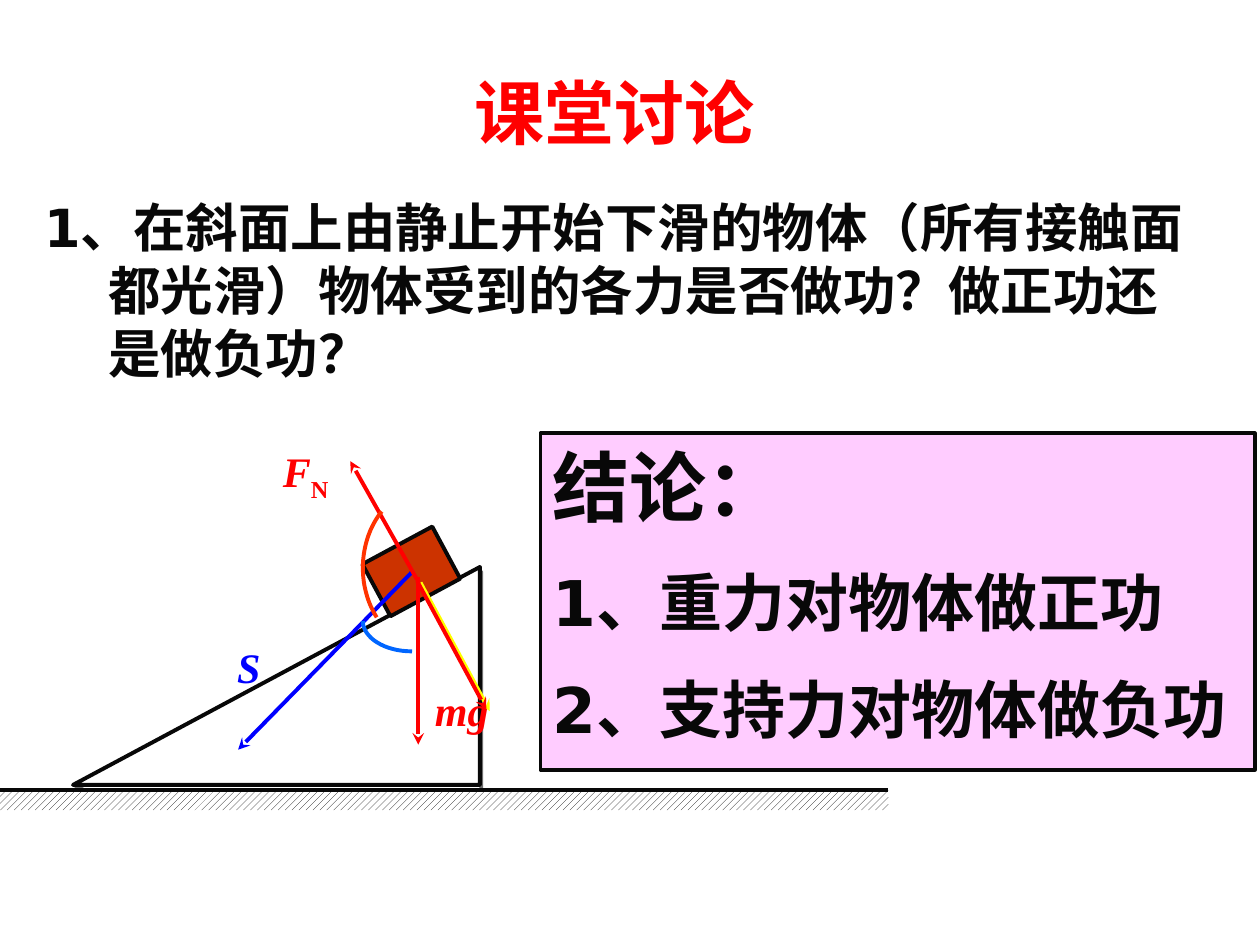
from lxml import etree
from pptx import Presentation
from pptx.dml.color import RGBColor
from pptx.enum.dml import MSO_PATTERN
from pptx.enum.shapes import MSO_CONNECTOR, MSO_SHAPE
from pptx.enum.text import MSO_ANCHOR, PP_ALIGN
from pptx.oxml.ns import qn
from pptx.util import Inches, Pt

RED = RGBColor(0xFF, 0x00, 0x00)
BLUE = RGBColor(0x00, 0x00, 0xFF)
INK = RGBColor(0x08, 0x08, 0x08)
GREY = RGBColor(0x6E, 0x6E, 0x6E)
WHITE = RGBColor(0xFF, 0xFF, 0xFF)
BRICK = RGBColor(0xCC, 0x33, 0x00)
PINK = RGBColor(0xFF, 0xCC, 0xFF)
ORANGE = RGBColor(0xFF, 0x33, 0x00)
SKY = RGBColor(0x00, 0x66, 0xFF)
SANS, CJK, SERIF = "DejaVu Sans", "Noto Sans CJK SC", "Times New Roman"
LINE_WIDTH = Pt(2.25)


def add_run(paragraph, text, size, font_name, color, italic=False):
    run = paragraph.add_run()
    run.text = text
    font = run.font
    font.size, font.name, font.bold, font.italic = Pt(size), font_name, True, italic
    font.color.rgb = color
    properties = run._r.get_or_add_rPr()
    latin = properties.find(qn("a:latin"))
    east_asian = etree.Element(qn("a:ea"), typeface=font_name)
    latin.addnext(east_asian)
    return properties


def add_line(start, end, color, arrow=True):
    points = [Inches(value) for value in (*start, *end)]
    line = slide.shapes.add_connector(MSO_CONNECTOR.STRAIGHT, *points)
    line.line.color.rgb = color
    line.line.width = LINE_WIDTH
    if arrow:
        etree.SubElement(line.line._get_or_add_ln(), qn("a:tailEnd"), type="stealth")
    return etree.SubElement(line._element.spPr, qn("a:effectLst"))


presentation = Presentation()
presentation.slide_width, presentation.slide_height = Inches(10), Inches(7.5)
slide = presentation.slides.add_slide(presentation.slide_layouts[1])

title = slide.shapes.title
title.left, title.top, title.width, title.height = map(Inches, (0.5, 0.5, 8.75, 0.77))
paragraph = title.text_frame.paragraphs[0]
paragraph.alignment = PP_ALIGN.CENTER
add_run(paragraph, "课堂讨论", 40, CJK, RED)

question = slide.placeholders[1]
question.left, question.top, question.width, question.height = map(
    Inches, (0.25, 1.5, 9.33, 1.5))
paragraph = question.text_frame.paragraphs[0]
paragraph.space_before = Pt(0)
properties = paragraph._p.get_or_add_pPr()
properties.set("marL", str(Inches(0.51)))
properties.set("indent", str(Inches(-0.51)))
etree.SubElement(properties, qn("a:buNone"))
add_run(paragraph,
        "1、在斜面上由静止开始下滑的物体（所有接触面都光滑）"
        "物体受到的各力是否做功？做正功还是做负功？", 30, SANS, INK)

for left, top, color in ((0.59, 4.54, GREY), (0.58, 4.5, INK)):
    incline = slide.shapes.add_shape(
        MSO_SHAPE.RIGHT_TRIANGLE, Inches(left), Inches(top), Inches(3.23), Inches(1.73))
    incline.shadow.inherit = False
    incline._element.spPr.get_or_add_xfrm().set("flipH", "1")
    incline.fill.solid()
    incline.fill.fore_color.rgb = WHITE
    incline.line.color.rgb = color
    incline.line.width = LINE_WIDTH

ground = slide.shapes.add_shape(
    MSO_SHAPE.RECTANGLE, Inches(0), Inches(6.27), Inches(7.05), Inches(0.16))
ground.shadow.inherit = False
ground.fill.patterned()
ground.fill.pattern = MSO_PATTERN.WIDE_UPWARD_DIAGONAL
ground.fill.fore_color.rgb = INK
ground.fill.back_color.rgb = WHITE
ground.line.fill.background()
add_line((0, 6.27), (7.05, 6.27), INK, arrow=False)

block = slide.shapes.add_shape(
    MSO_SHAPE.RECTANGLE, Inches(2.95), Inches(4.3), Inches(0.63), Inches(0.47))
block.rotation = 331.7
block.shadow.inherit = False
block.fill.solid()
block.fill.fore_color.rgb = BRICK
block.line.color.rgb = INK
block.line.width = LINE_WIDTH

vectors = (
    ((3.27, 4.54), (1.89, 5.95), BLUE, "S", "", (1.61, 5.04, 0.73)),
    ((3.31, 4.6), (2.78, 3.66), RED, "F", "N", (1.98, 3.49, 0.89)),
    ((3.32, 4.58), (3.32, 5.91), RED, "mg", "", (3.25, 5.38, 0.83)),
)
for start, end, color, symbol, subscript, (left, top, width) in vectors:
    add_line(start, end, color)
    label = slide.shapes.add_textbox(Inches(left), Inches(top), Inches(width), Inches(0.5))
    label.text_frame.word_wrap = True
    paragraph = label.text_frame.paragraphs[0]
    paragraph.alignment = PP_ALIGN.CENTER
    add_run(paragraph, symbol, 24, SERIF, color, italic=True)
    if subscript:
        add_run(paragraph, subscript, 24, SERIF, color).set("baseline", "-25000")

effects = add_line((3.31, 4.61), (3.86, 5.63), RED)
shadow = etree.SubElement(effects, qn("a:outerShdw"), dist=str(Pt(2.2)), dir="1620000")
etree.SubElement(shadow, qn("a:srgbClr"), val="FFFF00")

angle_arcs = (
    (ORANGE, (
        ((3.03, 4.06), (2.94, 4.17), (2.88, 4.33), (2.88, 4.51)),
        ((2.88, 4.51), (2.88, 4.65), (2.92, 4.79), (2.99, 4.9)),
    )),
    (SKY, (((3.27, 5.17), (3.05, 5.17), (2.88, 5.06), (2.88, 4.93)),)),
)
STEPS = 16
for color, curves in angle_arcs:
    points = []
    for curve in curves:
        for step in range(STEPS + 1):
            t = step / STEPS
            weights = ((1 - t) ** 3, 3 * t * (1 - t) ** 2, 3 * t ** 2 * (1 - t), t ** 3)
            points.append(tuple(
                Inches(sum(weight * point[axis] for weight, point in zip(weights, curve)))
                for axis in (0, 1)))
    builder = slide.shapes.build_freeform(*points[0])
    builder.add_line_segments(points[1:], close=False)
    arc = builder.convert_to_shape()
    arc.shadow.inherit = False
    arc.fill.background()
    arc.line.color.rgb = color
    arc.line.width = LINE_WIDTH

conclusion = slide.shapes.add_shape(
    MSO_SHAPE.RECTANGLE, Inches(4.29), Inches(3.44), Inches(5.67), Inches(2.67))
conclusion.shadow.inherit = False
conclusion.fill.solid()
conclusion.fill.fore_color.rgb = PINK
conclusion.line.color.rgb = INK
conclusion.line.width = LINE_WIDTH
frame = conclusion.text_frame
frame.word_wrap = True
frame.vertical_anchor = MSO_ANCHOR.TOP
frame.margin_right = Inches(0.05)
findings = (("结论：", 44), ("1、重力对物体做正功", 36), ("2、支持力对物体做负功", 36))
for index, (text, size) in enumerate(findings):
    paragraph = frame.add_paragraph() if index else frame.paragraphs[0]
    paragraph.alignment = PP_ALIGN.LEFT
    if index:
        paragraph.space_before = Pt(18)
    add_run(paragraph, text, size, SANS, INK)

presentation.save("out.pptx")
